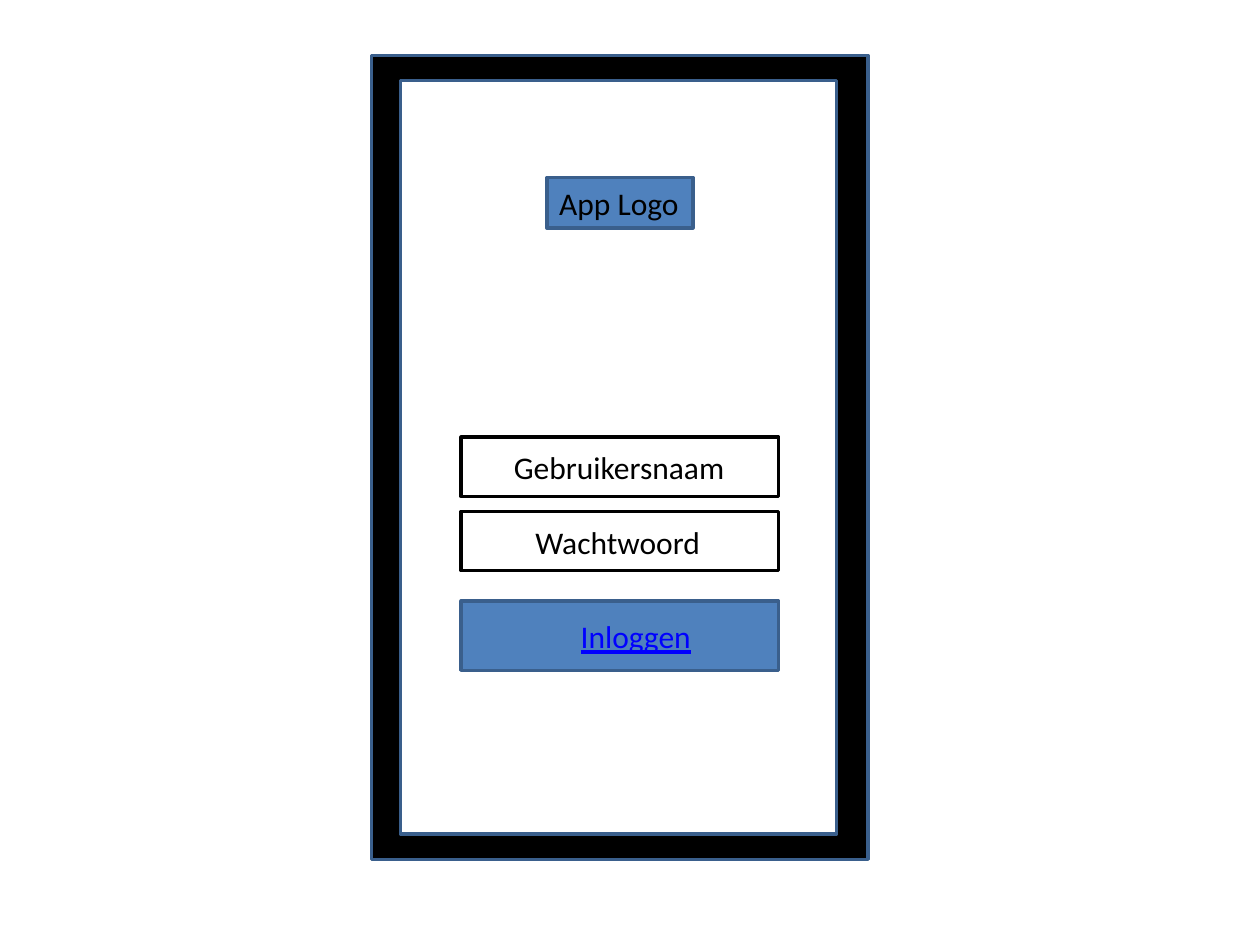
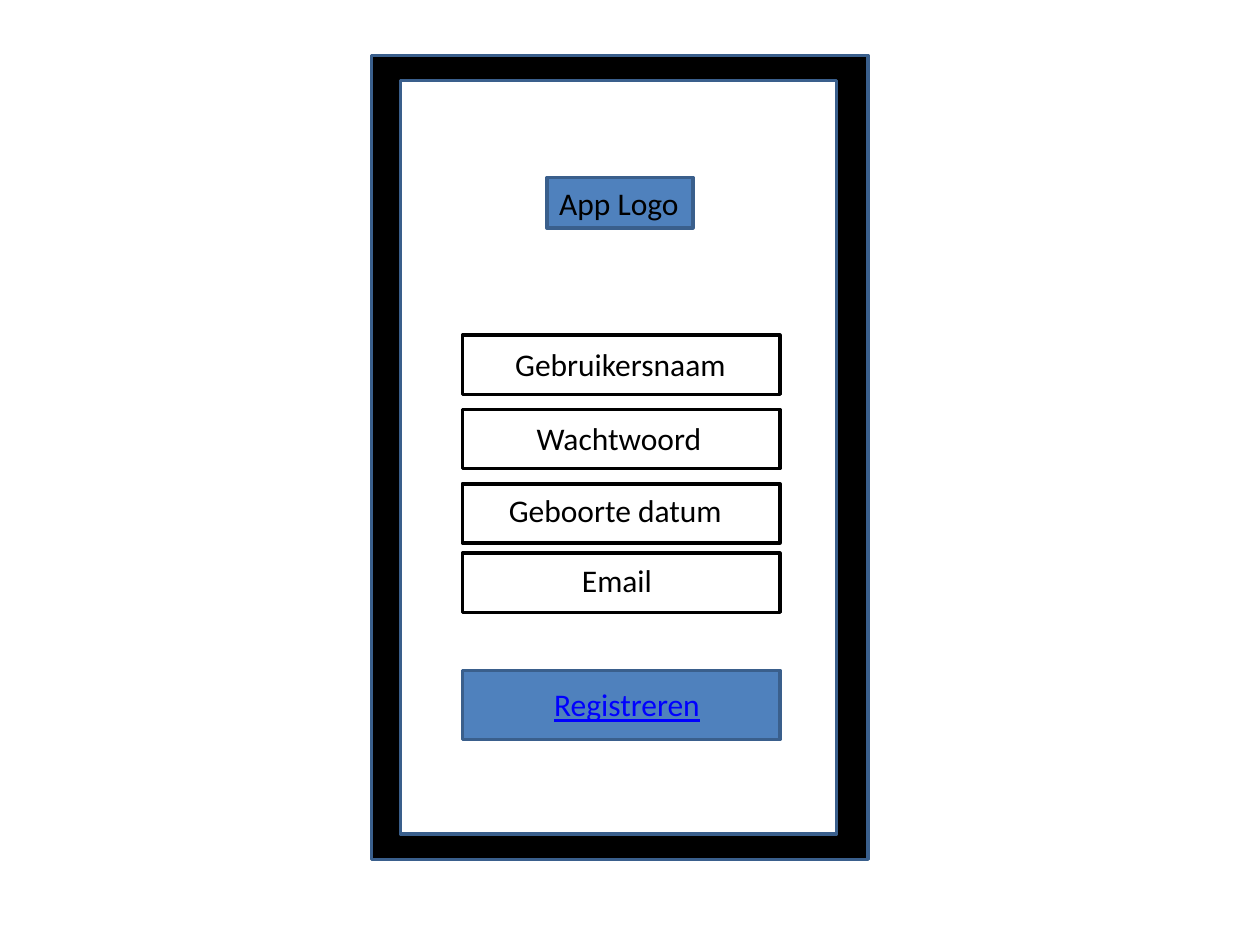
from dataclasses import dataclass
from typing import NamedTuple

from pptx import Presentation
from pptx.dml.color import RGBColor
from pptx.enum.shapes import MSO_SHAPE
from pptx.enum.text import MSO_AUTO_SIZE
from pptx.util import Inches, Pt

RECTANGLE = MSO_SHAPE.RECTANGLE
FIT_TEXT = MSO_AUTO_SIZE.SHAPE_TO_FIT_TEXT
BLANK_LAYOUT = 6


@dataclass(frozen=True)
class Theme:
    """Colours, type and line width shared by every screen."""
    black: RGBColor = RGBColor(0x00, 0x00, 0x00)
    white: RGBColor = RGBColor(0xFF, 0xFF, 0xFF)
    accent: RGBColor = RGBColor(0x4F, 0x81, 0xBD)
    border: RGBColor = RGBColor(0x3A, 0x5F, 0x8C)
    link: RGBColor = RGBColor(0x00, 0x00, 0xFF)
    font: str = "Calibri"
    text_size: int = 18
    line_width: int = 2


class Box(NamedTuple):
    """A rectangle in inches."""
    left: float
    top: float
    width: float
    height: float

    def inner(self, left, top, width, height):
        """Return a box placed relative to this one."""
        return Box(self.left + left, self.top + top, width, height)

    def lengths(self):
        """Return the four measures as slide lengths."""
        return [Inches(value) for value in self]


class Label(NamedTuple):
    """A caption with its offset in the control and its width."""
    text: str
    indent: float
    drop: float
    width: float


THEME = Theme()
PHONE = Box(2.95, 0.44, 3.94, 6.38)
CONTROL_WIDTH = 2.52
FIELD_HEIGHT = 0.47
BUTTON_HEIGHT = 0.55
LABEL_HEIGHT = 0.4
FIELD_PITCH = 0.59


def add_panel(page, box, fill, line):
    """Draw a filled, outlined rectangle."""
    panel = page.shapes.add_shape(RECTANGLE, *box.lengths())
    panel.shadow.inherit = False
    panel.fill.solid()
    panel.fill.fore_color.rgb = fill
    panel.line.color.rgb = line
    panel.line.width = Pt(THEME.line_width)


def add_label(page, control, label, color=THEME.black, underline=False):
    """Write a one-line caption over a control."""
    box = control.inner(label.indent, label.drop, label.width, LABEL_HEIGHT)
    frame = page.shapes.add_textbox(*box.lengths()).text_frame
    frame.word_wrap = False
    frame.auto_size = FIT_TEXT
    para = frame.paragraphs[0]
    para.text = label.text
    para.font.name = THEME.font
    para.font.size = Pt(THEME.text_size)
    para.font.color.rgb = color
    para.font.underline = underline


def add_phone(page, phone):
    """Draw the phone body, its display and the app logo."""
    add_panel(page, phone, THEME.black, THEME.border)
    add_panel(page, phone.inner(0.23, 0.2, 3.46, 5.98), THEME.white, THEME.border)
    logo = phone.inner(1.39, 0.97, 1.16, LABEL_HEIGHT)
    add_panel(page, logo, THEME.accent, THEME.border)
    add_label(page, logo, Label("App Logo", 0, 0, logo.width))


def add_field(page, box, label):
    """Draw an input field."""
    add_panel(page, box, THEME.white, THEME.black)
    add_label(page, box, label)


def add_button(page, box, label):
    """Draw a button with a link-styled caption."""
    add_panel(page, box, THEME.accent, THEME.border)
    add_label(page, box, label, THEME.link, underline=True)


def add_screen(deck, phone, left, field_tops, fields, button_top, button):
    """Add a slide with a form on the phone."""
    page = deck.slides.add_slide(deck.slide_layouts[BLANK_LAYOUT])
    add_phone(page, phone)
    for top, label in zip(field_tops, fields):
        add_field(page, phone.inner(left, top, CONTROL_WIDTH, FIELD_HEIGHT), label)
    add_button(page, phone.inner(left, button_top, CONTROL_WIDTH, BUTTON_HEIGHT), button)


def credentials(drop):
    """Return the two captions that both forms start with."""
    return [Label("Gebruikersnaam", 0.32, drop, 1.89),
            Label("Wachtwoord", 0.49, drop, 1.52)]


def stacked_tops(first, count):
    """Return the tops of evenly stacked fields."""
    return [first + row * FIELD_PITCH for row in range(count)]


def main():
    """Build the login and registration screens."""
    deck = Presentation()
    deck.slide_width, deck.slide_height = Inches(10), Inches(7.5)
    add_screen(deck, PHONE, 0.71, stacked_tops(3.03, 2), credentials(0.04),
               4.33, Label("Inloggen", 0.85, 0.08, 1.09))
    personal = [Label("Geboorte datum", 0.27, 0.01, 1.91),
                Label("Email", 0.85, 0.01, 0.76)]
    add_screen(deck, PHONE, 0.72, stacked_tops(2.22, 3) + [3.95],
               credentials(0.03) + personal,
               4.88, Label("Registreren", 0.63, 0.07, 1.37))
    deck.save("out.pptx")


if __name__ == "__main__":
    main()
